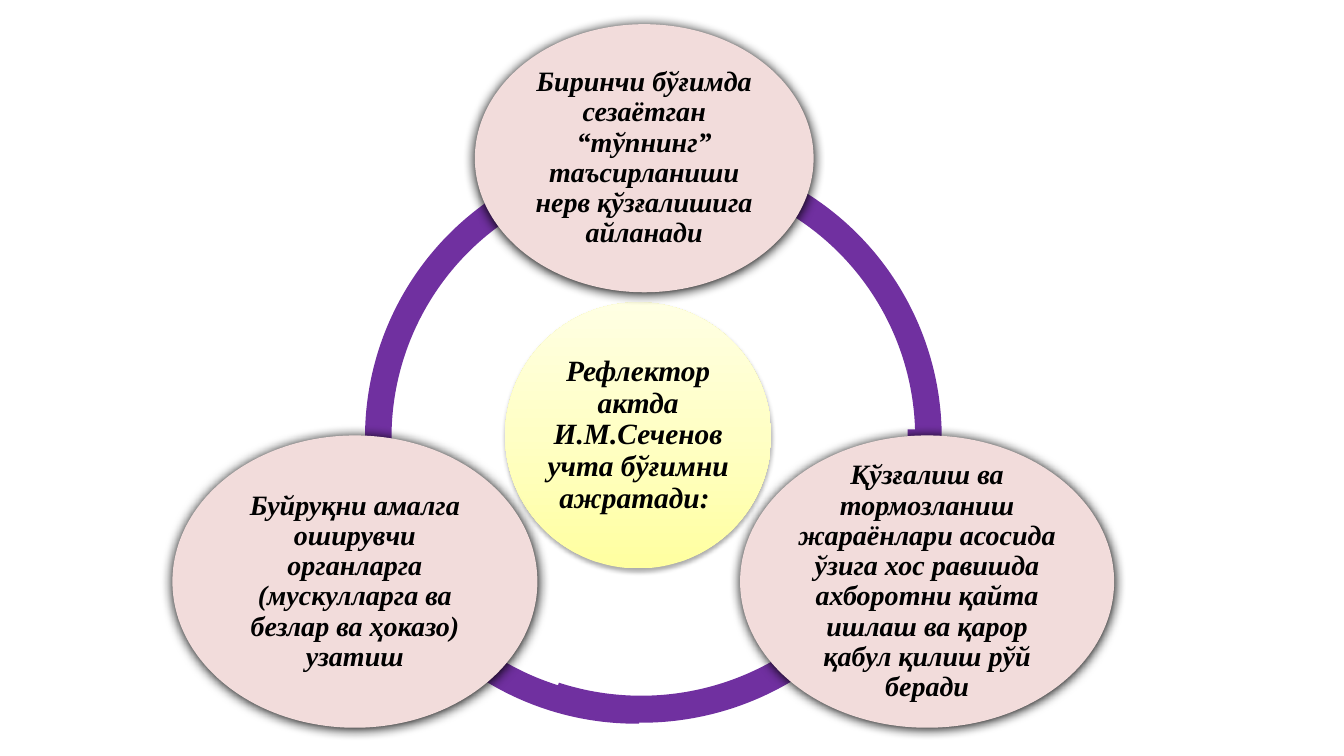
from copy import deepcopy
from dataclasses import dataclass

from lxml.etree import SubElement
from pptx import Presentation
from pptx.dml.color import RGBColor
from pptx.enum.shapes import MSO_SHAPE
from pptx.enum.text import MSO_ANCHOR, PP_ALIGN
from pptx.oxml.ns import qn
from pptx.util import Pt

PX = 9144
FONT = "Times New Roman"
PURPLE, PINK, BLACK = "7030A0", "F2DCDB", "000000"
YELLOWS = ((0, "FFFFA0"), (0.5, "FFFFC5"), (1, "FFFFE3"))


@dataclass(frozen=True)
class Arc:
    x: int
    y: int
    size: int
    start: float
    end: float


@dataclass(frozen=True)
class Shadow:
    alpha: int
    blur: float
    dist: float


@dataclass(frozen=True)
class Oval:
    x: int
    y: int
    w: int
    h: int
    text: str
    size: int = 20
    fill: str = PINK
    shadow: Shadow = Shadow(100, 8.5, 1)


ARCS = [
    Arc(345, 146, 572, 89.41, 167.92),
    Arc(345, 135, 582, 0, 108),
    Arc(362, 148, 572, 156.96, 18.43),
]
OVALS = [
    Oval(501, 300, 264, 264, "Рефлектор актда И.М.Сеченов учта бўғимни ажратади: ",
         21, "", Shadow(32, 3.5, 2.2)),
    Oval(471, 24, 336, 266, "Биринчи бўғимда сезаётган “тўпнинг” таъсирланиши "
         "нерв қўзғалишига айланади"),
    Oval(734, 432, 371, 290, "Қўзғалиш ва тормозланиш жараёнлари асосида ўзига хос "
         "равишда ахборотни қайта ишлаш ва қарор қабул қилиш рўй беради"),
    Oval(171, 432, 362, 290, "Буйруқни амалга оширувчи органларга "
         "(мускулларга ва безлар ва ҳоказо) узатиш"),
]


def rgb(color: str) -> RGBColor:
    return RGBColor.from_string(color)


def add_shape(s, kind, x: int, y: int, w: int, h: int):
    sp = s.shapes.add_shape(kind, x * PX, y * PX, w * PX, h * PX)
    sp.shadow.inherit = False
    sp.line.fill.background()
    return sp


def fill_solid(sp, color: str) -> None:
    sp.fill.solid()
    sp.fill.fore_color.rgb = rgb(color)


def fill_gradient(sp) -> None:
    sp.fill.gradient()
    sp.fill.gradient_angle = 90
    stops = sp._element.spPr.find(".//" + qn("a:gsLst"))
    stops.insert(1, deepcopy(stops[0]))
    for stop, (position, color) in zip(sp.fill.gradient_stops, YELLOWS):
        stop.position = position
        stop.color.rgb = rgb(color)


def add_shadow(sp, shadow: Shadow) -> None:
    effects = sp._element.spPr.find(qn("a:effectLst"))
    outer = SubElement(effects, qn("a:outerShdw"), blurRad=str(Pt(shadow.blur)),
                       dist=str(Pt(shadow.dist)), dir="5400000", rotWithShape="0")
    color = SubElement(outer, qn("a:srgbClr"), val=BLACK)
    SubElement(color, qn("a:alpha"), val=str(shadow.alpha * 1000))


def add_text(sp, text: str, size: int) -> None:
    tf = sp.text_frame
    tf.word_wrap = True
    tf.vertical_anchor = MSO_ANCHOR.MIDDLE
    tf.margin_left = tf.margin_right = tf.margin_top = tf.margin_bottom = 3 * PX
    p = tf.paragraphs[0]
    p.alignment = PP_ALIGN.CENTER
    p.line_spacing = 0.9
    r = p.add_run()
    r.text = text
    r.font.name = FONT
    r.font.size = Pt(size)
    r.font.bold = r.font.italic = True
    r.font.color.rgb = rgb(BLACK)


def draw_arc(s, arc: Arc) -> None:
    sp = add_shape(s, MSO_SHAPE.BLOCK_ARC, arc.x, arc.y, arc.size, arc.size)
    fill_solid(sp, PURPLE)
    sp.adjustments[0] = arc.start * 0.6
    sp.adjustments[1] = arc.end * 0.6
    sp.adjustments[2] = 0.046


def draw_oval(s, oval: Oval) -> None:
    sp = add_shape(s, MSO_SHAPE.OVAL, oval.x, oval.y, oval.w, oval.h)
    if oval.fill:
        fill_solid(sp, oval.fill)
    else:
        fill_gradient(sp)
    add_shadow(sp, oval.shadow)
    add_text(sp, oval.text, oval.size)


def main() -> None:
    prs = Presentation()
    prs.slide_width, prs.slide_height = 1333 * PX, 750 * PX
    s = prs.slides.add_slide(prs.slide_layouts[6])
    for arc in ARCS:
        draw_arc(s, arc)
    for oval in OVALS:
        draw_oval(s, oval)
    prs.save("out.pptx")


if __name__ == "__main__":
    main()
